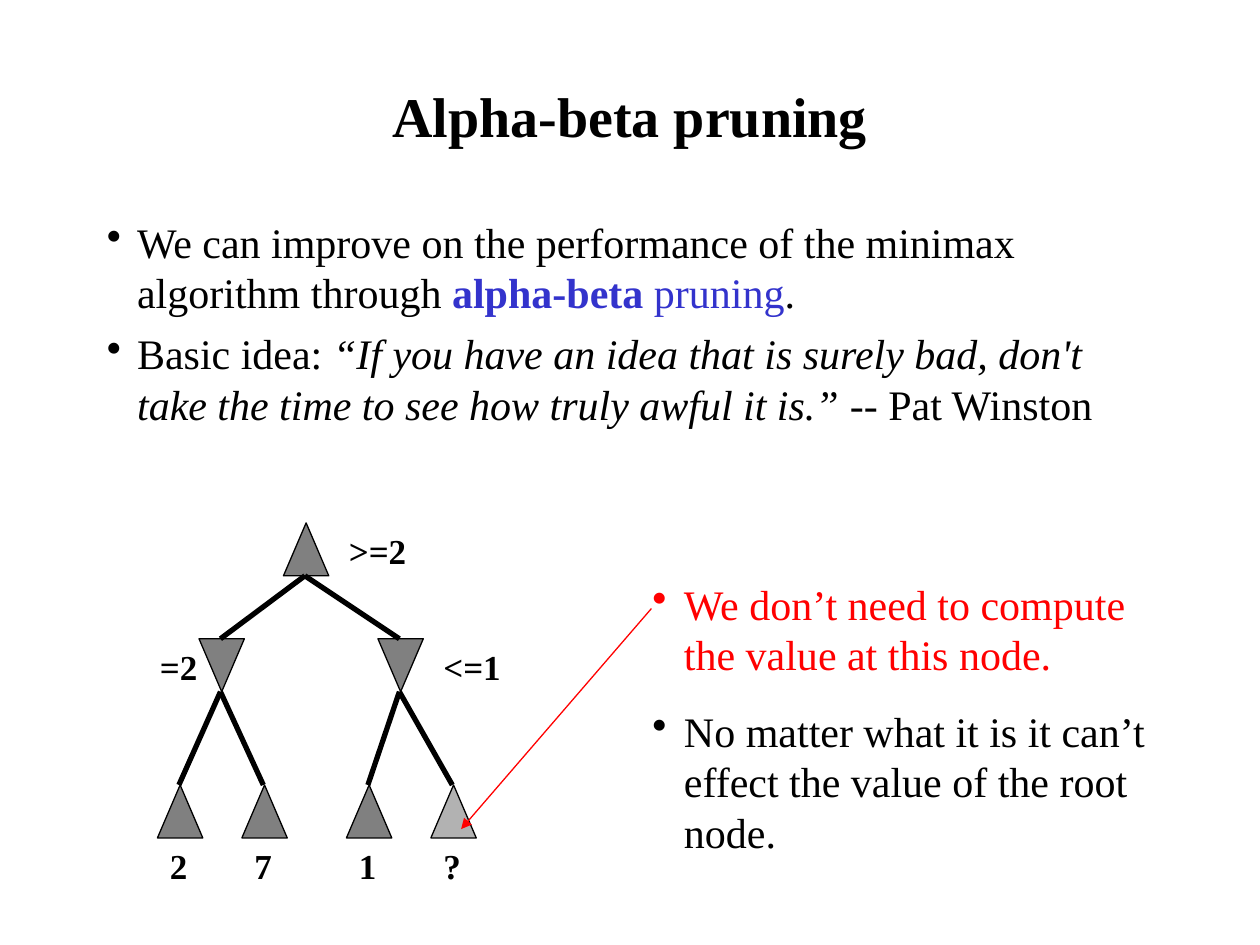
from dataclasses import dataclass

from lxml.etree import SubElement
from pptx import Presentation
from pptx.dml.color import RGBColor
from pptx.enum.shapes import MSO_CONNECTOR, MSO_SHAPE
from pptx.enum.text import MSO_ANCHOR, MSO_AUTO_SIZE, PP_ALIGN
from pptx.oxml.ns import qn
from pptx.util import Inches, Pt


@dataclass(frozen=True)
class Theme:
    font: str = "Times New Roman"
    title: int = 32
    body: int = 24
    label: int = 20
    ink: str = "000000"
    accent: str = "3333CC"
    alert: str = "FF0000"
    node: str = "808080"
    pruned: str = "B2B2B2"


T = Theme()
NODE_W, NODE_H = 0.36, 0.42

# name: parent, left and top in the tree box, points down, label, label offset
NODES = {
    "root": (None, 1.08, 0, False, ">=2", (0.42, 0)),
    "min_left": ("root", 0.41, 0.92, True, "=2", (-0.41, 0)),
    "min_right": ("root", 1.83, 0.92, True, "<=1", (0.42, 0)),
    "leaf_2": ("min_left", 0.08, 2.08, False, "2", (0, NODE_H)),
    "leaf_7": ("min_left", 0.75, 2.08, False, "7", (0, NODE_H)),
    "leaf_1": ("min_right", 1.58, 2.08, False, "1", (0, NODE_H)),
    "leaf_pruned": ("min_right", 2.25, 2.08, False, "?", (0, NODE_H)),
}


def add_run(p, text, size, color=T.ink, **formats):
    r = p.add_run()
    r.text = text
    formats = {"name": T.font, "size": Pt(size), **formats}
    for name, value in formats.items():
        setattr(r.font, name, value)
    r.font.color.rgb = RGBColor.from_string(color)


def add_text_frame(s, box, **formats):
    tf = s.shapes.add_textbox(*map(Inches, box)).text_frame
    for name, value in {"word_wrap": True, **formats}.items():
        setattr(tf, name, value)
    return tf


def add_line(s, start, end, color, width, arrow=False):
    points = map(Inches, (*start, *end))
    line = s.shapes.add_connector(MSO_CONNECTOR.STRAIGHT, *points)
    line.line.color.rgb = RGBColor.from_string(color)
    line.line.width = Pt(width)
    if arrow:
        SubElement(line.line._get_or_add_ln(), qn("a:tailEnd"), type="triangle")
    SubElement(line._element.spPr, qn("a:effectLst"))


def add_title(s, box, text):
    tf = add_text_frame(s, box, vertical_anchor=MSO_ANCHOR.MIDDLE)
    p = tf.paragraphs[0]
    p.alignment = PP_ALIGN.CENTER
    add_run(p, text, T.title, bold=True)


def add_bullets(s, box, items, indent, space):
    """Each item is a list of (text, colour, font formats)."""
    tf = add_text_frame(s, box)
    for i, item in enumerate(items):
        p = tf.paragraphs[0] if i == 0 else tf.add_paragraph()
        p.space_before = Pt(space if i else 0)
        pPr = p._p.get_or_add_pPr()
        pPr.set("marL", str(Inches(indent)))
        pPr.set("indent", str(-Inches(indent)))
        bullet_color = SubElement(pPr, qn("a:buClr"))
        SubElement(bullet_color, qn("a:srgbClr"), val=item[0][1])
        SubElement(pPr, qn("a:buChar"), char="•")
        for text, color, formats in item:
            add_run(p, text, T.body, color, **formats)


def add_node(s, x, y, down, fill):
    box = map(Inches, (x, y, NODE_W, NODE_H))
    sp = s.shapes.add_shape(MSO_SHAPE.ISOSCELES_TRIANGLE, *box)
    sp.shadow.inherit = False
    sp.fill.solid()
    sp.fill.fore_color.rgb = RGBColor.from_string(fill)
    sp.line.color.rgb = RGBColor.from_string(T.ink)
    sp.line.width = Pt(0.75)
    if down:
        sp._element.spPr.xfrm.set("flipV", "1")


def add_tree(s, box):
    left, top, _, _ = box
    # Nodes and their labels
    for name, (_, x, y, down, label, (dx, dy)) in NODES.items():
        x, y = left + x, top + y
        add_node(s, x, y, down, T.pruned if name == "leaf_pruned" else T.node)
        width = 0.18 + 0.17 * len(label)
        tf = add_text_frame(s, (x + dx, y + dy, width, 0.44), word_wrap=False,
                            auto_size=MSO_AUTO_SIZE.SHAPE_TO_FIT_TEXT)
        add_run(tf.paragraphs[0], label, T.label, bold=True)
    # Edges run from the bottom of a parent to the top of its child
    for parent, x, y, *_ in NODES.values():
        if parent:
            _, px, py, *_ = NODES[parent]
            mid = left + NODE_W / 2 - 0.01
            add_line(s, (mid + px, top + py + NODE_H), (mid + x, top + y), T.ink, 3)


def main():
    prs = Presentation()
    prs.slide_width, prs.slide_height = Inches(10), Inches(7.5)
    s = prs.slides.add_slide(prs.slide_layouts[6])

    add_title(s, (0.75, 0.58, 8.5, 0.67), "Alpha-beta pruning")

    # Main idea
    add_bullets(s, (0.75, 1.67, 8.5, 4.5), [
        [("We can improve on the performance of the minimax algorithm through ", T.ink, {}),
         ("alpha-beta", T.accent, {"bold": True}),
         (" pruning", T.accent, {}),
         (".", T.ink, {})],
        [("Basic idea: ", T.ink, {}),
         ("“If you have an idea that is surely bad, don't take the time to see "
          "how truly awful it is.”", T.ink, {"italic": True}),
         (" -- Pat Winston", T.ink, {})],
    ], indent=0.24, space=6)

    add_tree(s, (1.17, 4.15, 2.9, 2.94))

    # Comment on the pruned leaf
    add_bullets(s, (5.08, 4.54, 4.42, 2.31), [
        [("We don’t need to compute the value at this node.", T.alert, {})],
        [("No matter what it is it can’t effect the value of the root node.", T.ink, {})],
    ], indent=0.25, space=15)
    add_line(s, (5.17, 4.83), (3.66, 6.58), T.alert, 0.75, arrow=True)

    prs.save("out.pptx")


if __name__ == "__main__":
    main()
